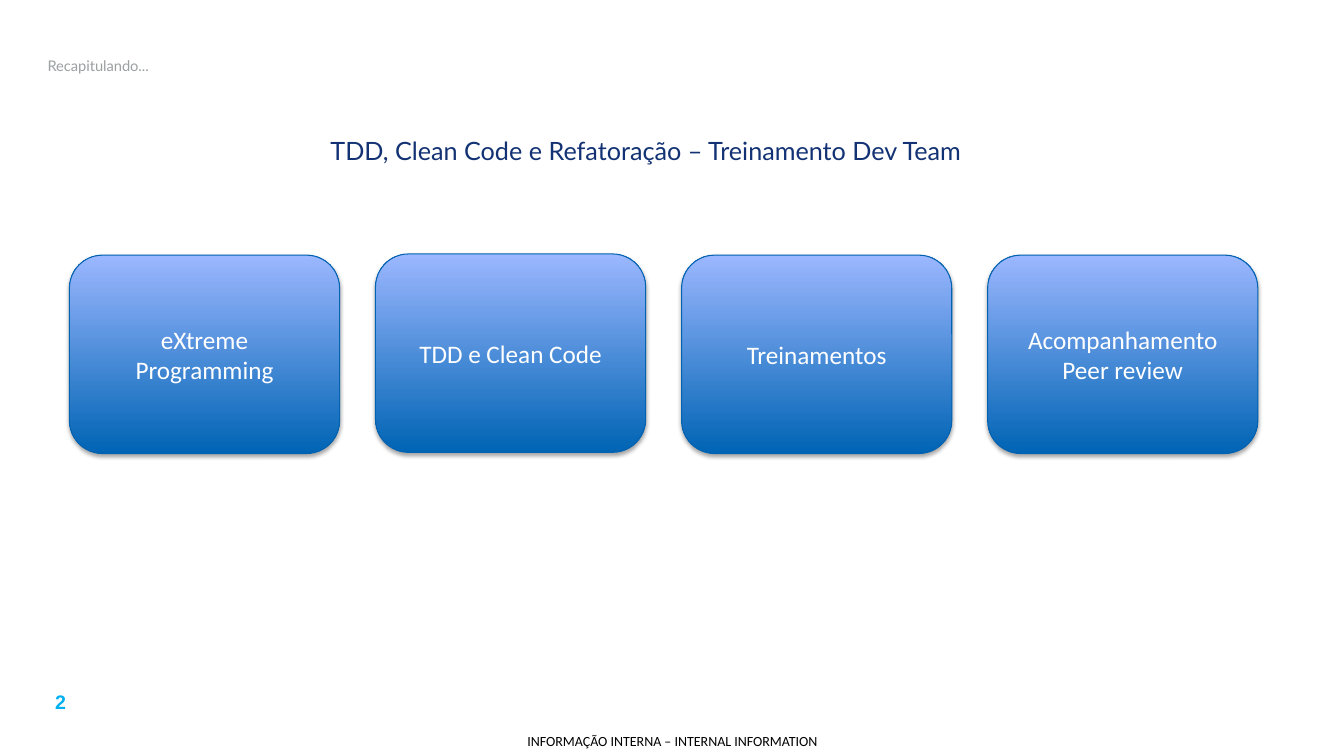
import dataclasses

import lxml.etree
import pptx
import pptx.dml.color
import pptx.enum.shapes
import pptx.enum.text
import pptx.oxml.ns
import pptx.util

Cm = pptx.util.Cm
Pt = pptx.util.Pt
Align = pptx.enum.text.PP_ALIGN
Anchor = pptx.enum.text.MSO_ANCHOR


def rgb(code):
    return pptx.dml.color.RGBColor.from_string(code)


@dataclasses.dataclass(frozen=True)
class Theme:
    recap = {"name": "Lato", "size": Pt(10.5), "color": "9BA0A0"}
    headline = {"name": "Lato", "size": Pt(18), "color": "123274"}
    topic = {"name": "Calibri", "size": Pt(18), "color": "FFFFFF"}
    page = {"name": "Arial", "size": Pt(14), "bold": True, "color": "00B0F0"}
    notice = {"name": "Calibri", "size": Pt(10), "color": "000000"}
    topic_bottom = "0064B4"
    topic_top = "9BB7FF"
    topic_edge = "0062B0"
    shadow = "000000"


THEME = Theme()


def apply(target, values):
    for key, value in values.items():
        setattr(target, key, value)


def write(holder, wording, style, align=Align.CENTER, anchor=Anchor.MIDDLE, **frame_format):
    frame = holder.text_frame
    apply(frame, {"word_wrap": True, "vertical_anchor": anchor, **frame_format})
    paragraph = frame.paragraphs[0]
    paragraph.text = wording
    paragraph.alignment = align
    for run in paragraph.runs:
        apply(run.font, {key: value for key, value in style.items() if key != "color"})
        run.font.color.rgb = rgb(style["color"])


def add_label(slide, box, wording, style, **layout):
    write(slide.shapes.add_textbox(*map(Cm, box)), wording, style, **layout)


def cast_shadow(card):
    card.shadow.inherit = False
    qn = pptx.oxml.ns.qn
    effects = card.element.spPr.find(qn("a:effectLst"))
    outer = lxml.etree.SubElement(
        effects, qn("a:outerShdw"),
        blurRad=str(Pt(3.1)), dist=str(Pt(1.8)), dir="5400000", rotWithShape="0",
    )
    tone = lxml.etree.SubElement(outer, qn("a:srgbClr"), val=THEME.shadow)
    lxml.etree.SubElement(tone, qn("a:alpha"), val="35000")


def add_topic(slide, box, wording):
    card = slide.shapes.add_shape(
        pptx.enum.shapes.MSO_SHAPE.ROUNDED_RECTANGLE, *map(Cm, box)
    )
    card.fill.gradient()
    card.fill.gradient_angle = 90
    for stop, code in zip(card.fill.gradient_stops, (THEME.topic_bottom, THEME.topic_top)):
        stop.color.rgb = rgb(code)
    card.line.color.rgb = rgb(THEME.topic_edge)
    card.line.width = Pt(0.75)
    cast_shadow(card)
    write(card, wording, THEME.topic)


def add_header(slide, box):
    left, top, width, height = box
    add_label(slide, (left, top, width, 1.22), "Recapitulando...", THEME.recap, align=Align.LEFT)
    add_label(
        slide, (left, top + 1.88, width + 0.45, height - 1.88),
        "TDD, Clean Code e Refatoração – Treinamento Dev Team", THEME.headline,
    )


def add_topics(slide, box):
    left, top, width, height = box
    topics = (
        ("eXtreme Programming", 0),
        ("TDD e Clean Code", -0.03),
        ("Treinamentos", 0),
        ("Acompanhamento\vPeer review", 0),
    )
    card_width = 6.81
    pitch = (width - card_width) / (len(topics) - 1)
    for index, (wording, lift) in enumerate(topics):
        add_topic(slide, (left + index * pitch, top + lift, card_width, height), wording)


def add_footer(slide, box):
    left, top, width, height = box
    add_label(slide, (left, top, 2, 0.86), "2", THEME.page, anchor=Anchor.TOP)
    margins = dict.fromkeys(("margin_left", "margin_top", "margin_right", "margin_bottom"), 0)
    add_label(
        slide, (left + width - 8.33, top + height - 0.74, 8.33, 0.74),
        "INFORMAÇÃO INTERNA – INTERNAL INFORMATION", THEME.notice, **margins,
    )


def main():
    deck = pptx.Presentation()
    apply(deck, {"slide_width": Cm(33.87), "slide_height": Cm(19.05)})
    slide = deck.slides.add_slide(deck.slide_layouts[6])
    add_header(slide, (0.95, 1.04, 30.2, 3.63))
    add_topics(slide, (1.75, 6.43, 29.95, 5))
    add_footer(slide, (0.53, 17.27, 20.58, 1.78))
    deck.save("out.pptx")


if __name__ == "__main__":
    main()
